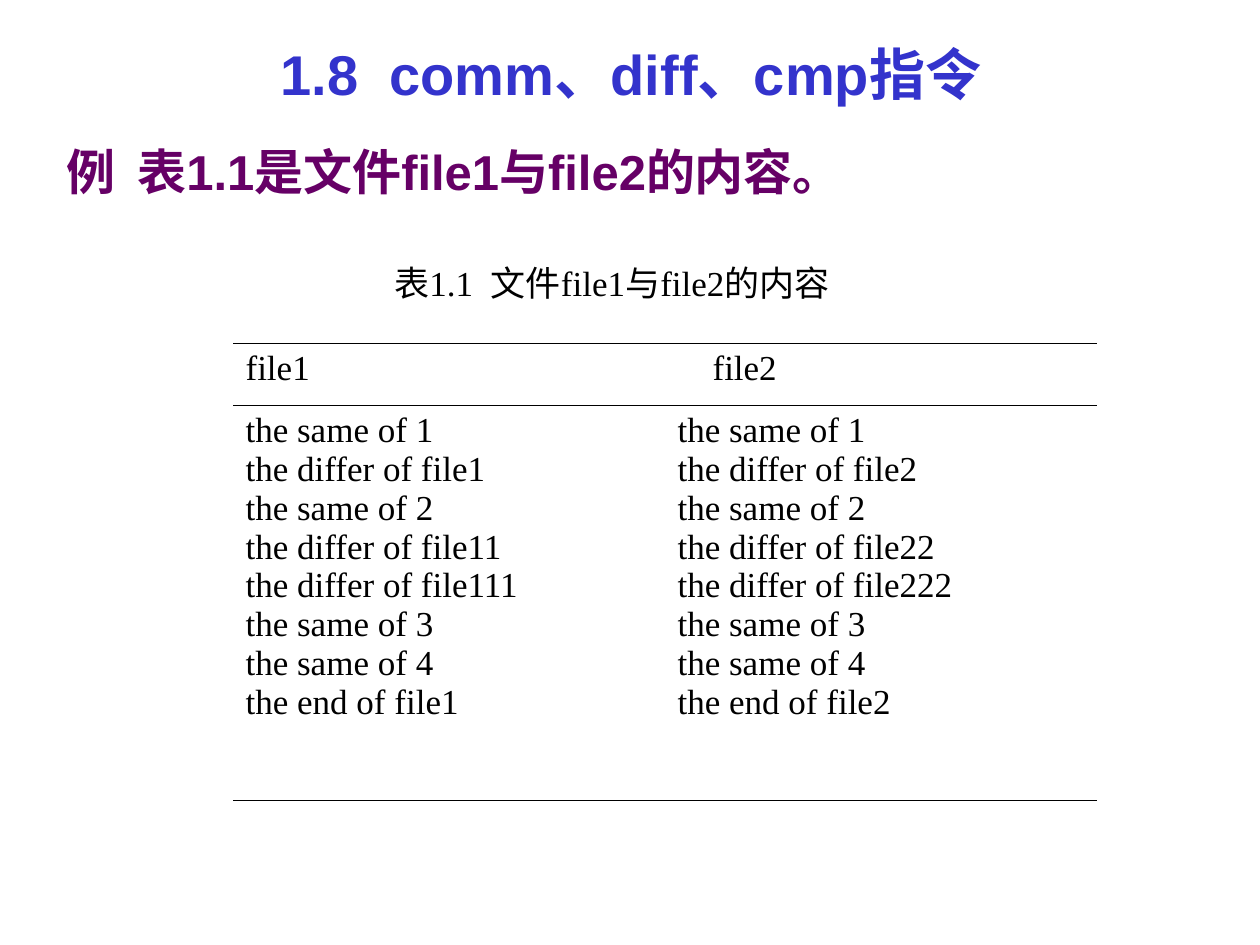
from lxml import etree
from pptx import Presentation
from pptx.dml.color import RGBColor
from pptx.enum.text import MSO_ANCHOR, PP_ALIGN
from pptx.oxml.ns import qn
from pptx.util import Pt

LEFT, CENTER = PP_ALIGN.LEFT, PP_ALIGN.CENTER
TOP, MIDDLE = MSO_ANCHOR.TOP, MSO_ANCHOR.MIDDLE
PX = 914400 // 126

THEME = {
    "title": {"name": "Arial", "size": Pt(32), "bold": True, "color": "3333CC"},
    "example": {"name": "Arial", "size": Pt(28), "bold": True, "color": "660066"},
    "body": {"name": "Times New Roman", "size": Pt(20), "bold": False, "color": "000000"},
    "rule": {"color": "000000", "width": Pt(0.45)},
}

HEADINGS = [
    ("1.8  comm、diff、cmp指令", "title", (64, 35, 1134, 77), CENTER, MIDDLE),
    ("例  表1.1是文件file1与file2的内容。", "example", (54, 135, 1134, 110), LEFT, TOP),
    ("表1.1  文件file1与file2的内容", "body", (382, 255, 586, 97), LEFT, TOP),
]

FILES = {
    "file1": ["the same of 1", "the differ of file1", "the same of 2",
              "the differ of file11", "the differ of file111",
              "the same of 3", "the same of 4", "the end of file1"],
    "file2": ["the same of 1", "the differ of file2", "the same of 2",
              "the differ of file22", "the differ of file222",
              "the same of 3", "the same of 4", "the end of file2"],
}
TABLE_LEFT, TABLE_TOP = 233, 343
COLUMN_WIDTH = 432
ROW_HEIGHTS = [62, 395]
HEADER_INDENTS = [0, 35]


def write(frame, lines, style, align=LEFT):
    frame.text = "\n".join(lines)
    for paragraph in frame.paragraphs:
        paragraph.alignment = align
        for run in paragraph.runs:
            for key, value in THEME[style].items():
                if key == "color":
                    run.font.color.rgb = RGBColor.from_string(value)
                else:
                    setattr(run.font, key, value)


def rule_cell(cell):
    properties = cell._tc.get_or_add_tcPr()
    for side in ("lnL", "lnR", "lnT", "lnB"):
        border = etree.SubElement(properties, qn(f"a:{side}"))
        if side in ("lnT", "lnB"):
            border.set("w", str(int(THEME["rule"]["width"])))
            fill = etree.SubElement(border, qn("a:solidFill"))
            etree.SubElement(fill, qn("a:srgbClr"), val=THEME["rule"]["color"])
        else:
            etree.SubElement(border, qn("a:noFill"))
    cell.fill.background()


def add_heading(slide, text, style, box, align, anchor):
    frame = slide.shapes.add_textbox(*(length * PX for length in box)).text_frame
    frame.word_wrap = True
    frame.vertical_anchor = anchor
    write(frame, [text], style, align)


def add_file_table(slide):
    table = slide.shapes.add_table(
        len(ROW_HEIGHTS), len(FILES), TABLE_LEFT * PX, TABLE_TOP * PX,
        COLUMN_WIDTH * len(FILES) * PX, sum(ROW_HEIGHTS) * PX).table
    table.first_row = table.horz_banding = False
    for row, height in zip(table.rows, ROW_HEIGHTS):
        row.height = height * PX
    for column, (filename, lines) in enumerate(FILES.items()):
        table.columns[column].width = COLUMN_WIDTH * PX
        for row, content in enumerate(([filename], lines)):
            cell = table.cell(row, column)
            write(cell.text_frame, content, "body")
            rule_cell(cell)
        header = table.cell(0, column).text_frame.paragraphs[0]
        header._p.get_or_add_pPr().set("marL", str(HEADER_INDENTS[column] * PX))


def main():
    deck = Presentation()
    deck.slide_width, deck.slide_height = 1260 * PX, 945 * PX
    slide = deck.slides.add_slide(deck.slide_layouts[6])
    for heading in HEADINGS:
        add_heading(slide, *heading)
    add_file_table(slide)
    deck.save("out.pptx")


if __name__ == "__main__":
    main()
